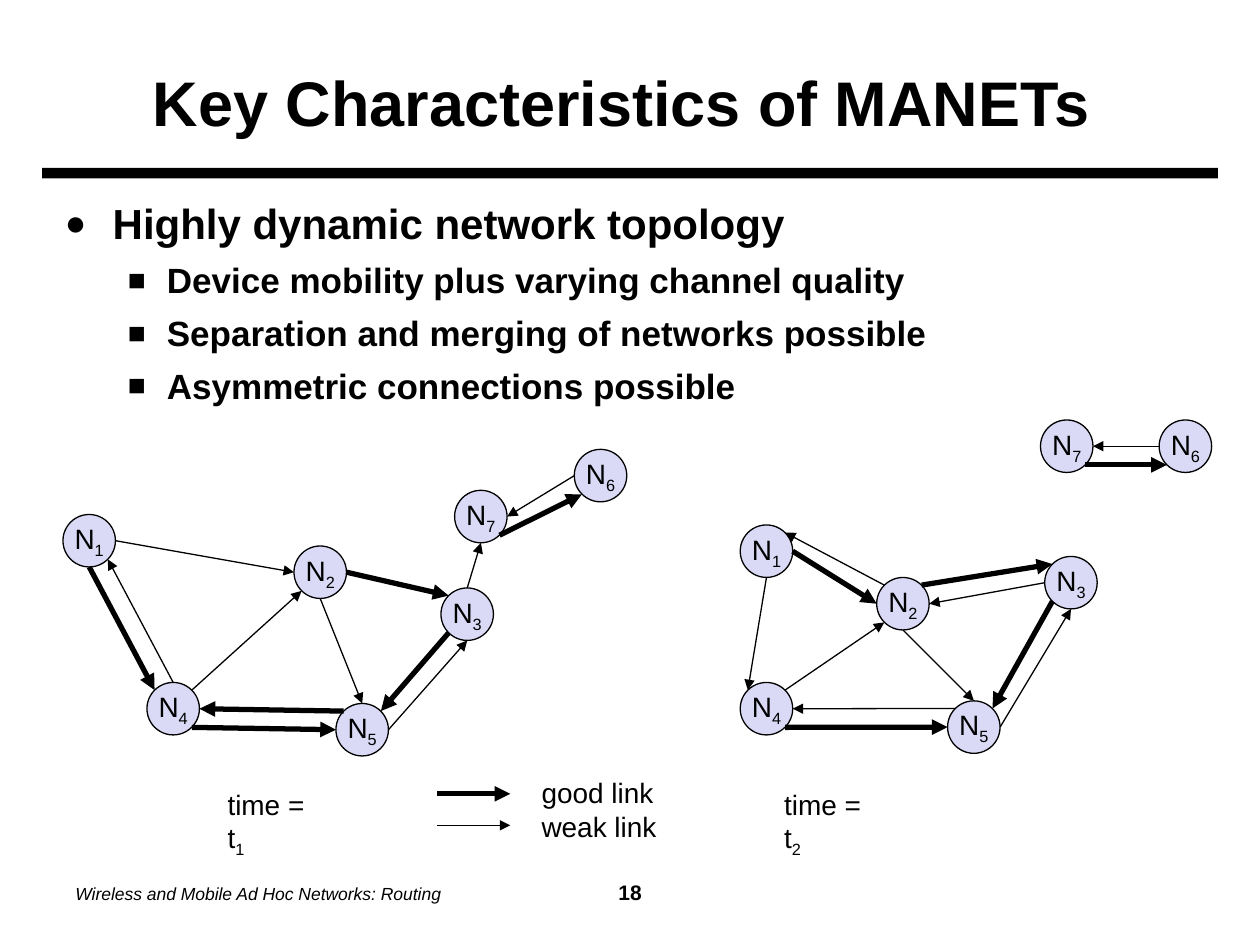
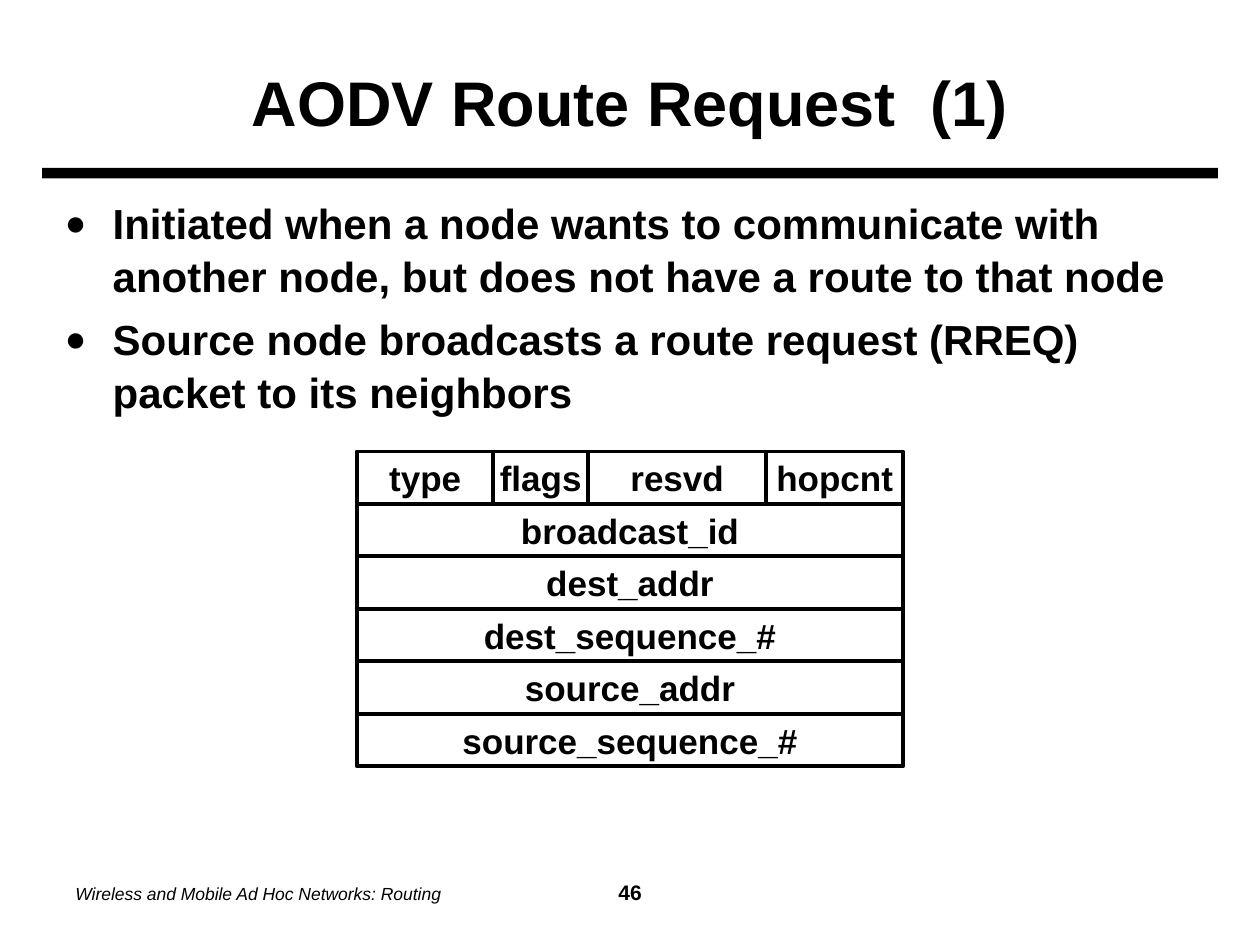
"""Build two slides on mobile ad hoc networks: topology graphs and a packet layout."""
from lxml import etree
from pptx import Presentation
from pptx import util as u
from pptx.dml.color import RGBColor
from pptx.enum import shapes, text
from pptx.oxml.ns import qn

COLORS = {"ink": "000000", "paper": "FFFFFF", "node": "DADAF6"}
FONT = "Arial"
COLUMNS, ROWS = 120, 90
WIDTH, HEIGHT = u.Inches(10), u.Inches(7.5)
FOOTER = "Wireless and Mobile Ad Hoc Networks: Routing"
NODE = 5
GOOD, WEAK = 3, 0.75
SIDES = {"N": (0, -1), "S": (0, 1), "E": (1, 0), "W": (-1, 0),
         "NE": (0.71, -0.71), "NW": (-0.71, -0.71),
         "SE": (0.71, 0.71), "SW": (-0.71, 0.71)}
BULLETS = [{"mark": "●", "size": 24, "left": 0.38, "hang": 0.38, "before": 6},
           {"mark": "■", "size": 20, "left": 0.81, "hang": 0.31, "before": 5}]

GRAPHS = [
    {"box": (6, 40), "time": "1", "caption": 14.5,
     "nodes": {1: (0, 9), 2: (22, 12), 3: (36, 16), 4: (8, 25), 5: (26, 27),
               6: (48.7, 2.8), 7: (37.3, 6.7)},
     "good": ["5NW 4E", "4SE 5W", "1S 4NW", "2E 3NW", "3SW 5NE", "7SE 6SW"],
     "weak": ["1E 2W", "4NE 2SW", "4N 1SE", "5E 3S", "2S 5N", "6W 7E", "3N 7S"]},
    {"box": (70.5, 40), "time": "2", "caption": 3,
     "nodes": {1: (0, 10), 2: (13, 15), 3: (29, 13), 4: (0, 25), 5: (19.75, 26.75),
               6: (39.9, 0), 7: (28.6, 0)},
     "good": ["1E 2W", "4SE 5W", "2NE 3NW", "3SW 5NE", "7SE 6SW"],
     "weak": ["4NE 2SW", "5NW 4E", "1S 4NW", "5E 3S", "2S 5N", "2NW 1NE",
              "3W 2E", "6W 7E"]},
]
PACKET = [
    [("type", 13), ("flags", 9), ("resvd", 17), ("hopcnt", 13)],
    [("broadcast_id", 52)],
    [("dest_addr", 52)],
    [("dest_sequence_#", 52)],
    [("source_addr", 52)],
    [("source_sequence_#", 52)],
]


def grid(column, row):
    """Return the lengths of a number of columns and rows."""
    return round(WIDTH * column / COLUMNS), round(HEIGHT * row / ROWS)


def frame(column, row, columns, rows):
    """Return left, top, width and height of a grid box."""
    return *grid(column, row), *grid(columns, rows)


def style(font, size, bold=False, italic=False):
    """Apply the common typeface and ink colour to a font."""
    font.name, font.size, font.bold, font.italic = FONT, u.Pt(size), bold, italic
    font.color.rgb = RGBColor.from_string(COLORS["ink"])


def add_label(paragraph, label, subscript="", size=16, bold=False):
    """Write a label with an optional subscript."""
    paragraph.text = label
    if subscript:
        run = paragraph.add_run()
        run.text = subscript
        run._r.get_or_add_rPr().set("baseline", "-25000")
    for run in paragraph.runs:
        style(run.font, size, bold)


def add_text_box(slide, box, wrap=False):
    """Add a text box and return its text frame."""
    text_frame = slide.shapes.add_textbox(*frame(*box)).text_frame
    text_frame.word_wrap = wrap
    return text_frame


def add_block(slide, kind, box, fill, line):
    """Add a flat outlined shape and return its centred paragraph."""
    shape = slide.shapes.add_shape(kind, *frame(*box))
    shape.shadow.inherit = False
    shape.fill.solid()
    shape.fill.fore_color.rgb = RGBColor.from_string(COLORS[fill])
    if line:
        shape.line.color.rgb = RGBColor.from_string(COLORS["ink"])
        shape.line.width = u.Pt(line)
    else:
        shape.line.fill.background()
    shape.text_frame.word_wrap = False
    shape.text_frame.vertical_anchor = text.MSO_ANCHOR.MIDDLE
    paragraph = shape.text_frame.paragraphs[0]
    paragraph.alignment = text.PP_ALIGN.CENTER
    return paragraph


def add_arrow(slide, start, end, weight):
    """Draw an arrow between two grid points."""
    arrow = slide.shapes.add_connector(
        shapes.MSO_CONNECTOR.STRAIGHT, *grid(*start), *grid(*end))
    arrow.line.color.rgb = RGBColor.from_string(COLORS["ink"])
    arrow.line.width = u.Pt(weight)
    properties = arrow._element.spPr
    etree.SubElement(properties.find(qn("a:ln")), qn("a:tailEnd"), type="triangle")
    etree.SubElement(properties, qn("a:effectLst"))


def add_footer(slide, number, box):
    """Write the running title and the page number at a centred tab."""
    text_frame = add_text_box(slide, box, wrap=True)
    text_frame.vertical_anchor = text.MSO_ANCHOR.MIDDLE
    paragraph = text_frame.paragraphs[0]
    tabs = etree.SubElement(paragraph._p.get_or_add_pPr(), qn("a:tabLst"))
    etree.SubElement(tabs, qn("a:tab"), pos=str(u.Inches(4.38)), algn="ctr")
    paragraph.text = FOOTER
    style(paragraph.runs[0].font, 10, italic=True)
    page = paragraph.add_run()
    page.text = f"\t {number}"
    style(page.font, 12, bold=True)


def add_bullets(slide, items, box):
    """Write bulleted paragraphs given as level and wording."""
    text_frame = add_text_box(slide, box, wrap=True)
    text_frame.text = "\n".join(wording for _, wording in items)
    for index, (level, _) in enumerate(items):
        paragraph, rule = text_frame.paragraphs[index], BULLETS[level]
        paragraph.level = level
        paragraph.line_spacing = 1.05
        if index:
            paragraph.space_before = u.Pt(rule["before"])
        properties = paragraph._p.get_or_add_pPr()
        properties.set("marL", str(u.Inches(rule["left"])))
        properties.set("indent", str(-u.Inches(rule["hang"])))
        etree.SubElement(properties, qn("a:buSzPct"), val="85000")
        etree.SubElement(properties, qn("a:buFont"), typeface=FONT)
        etree.SubElement(properties, qn("a:buChar"), char=rule["mark"])
        style(paragraph.runs[0].font, rule["size"], bold=True)


def add_base(presentation, title, number, bullets):
    """Add a slide with title, rule, bullets and footer."""
    slide = presentation.slides.add_slide(presentation.slide_layouts[5])
    heading = slide.shapes.title
    heading.left, heading.top, heading.width, heading.height = frame(6, 3, 108, 13)
    heading.text_frame.text = title
    heading.text_frame.vertical_anchor = text.MSO_ANCHOR.MIDDLE
    paragraph = heading.text_frame.paragraphs[0]
    paragraph.alignment = text.PP_ALIGN.CENTER
    paragraph.line_spacing = 1.05
    style(paragraph.runs[0].font, 36, bold=True)
    add_block(slide, shapes.MSO_SHAPE.RECTANGLE, (4, 16, 112, 1), "ink", None)
    add_bullets(slide, bullets, (5, 18, 109, 63))
    add_footer(slide, number, (6, 82, 108, 6))
    return slide


def add_graph(slide, graph):
    """Draw one network snapshot with its nodes, links and time."""
    left, top = graph["box"]
    nodes = {name: (left + x, top + y) for name, (x, y) in graph["nodes"].items()}

    def anchor(end):
        """Return the point on the rim of a node, such as 5NW."""
        x, y = nodes[int(end[0])]
        across, down = SIDES[end[1:]]
        return x + NODE / 2 * (1 + across), y + NODE / 2 * (1 + down)

    for name, place in nodes.items():
        paragraph = add_block(
            slide, shapes.MSO_SHAPE.OVAL, (*place, NODE, NODE), "node", WEAK)
        add_label(paragraph, "N", str(name))
    for links, weight in ((graph["good"], GOOD), (graph["weak"], WEAK)):
        for link in links:
            start, end = link.split()
            add_arrow(slide, anchor(start), anchor(end), weight)
    caption = add_text_box(slide, (left + graph["caption"], top + 34.4, 12, 4.9))
    add_label(caption.paragraphs[0], "time = t", graph["time"])


def add_legend(slide, left, top):
    """Explain the two link weights."""
    for row, weight in ((2.3, GOOD), (5.3, WEAK)):
        add_arrow(slide, (left, top + row), (left + 7, top + row), weight)
    text_frame = add_text_box(slide, (left + 8.8, top, 13.3, 7.7))
    text_frame.text = "good link\nweak link"
    for paragraph in text_frame.paragraphs:
        style(paragraph.runs[0].font, 16)


def add_packet(slide, left, top):
    """Stack the packet fields row by row."""
    for row, fields in enumerate(PACKET):
        column = left
        for name, width in fields:
            paragraph = add_block(slide, shapes.MSO_SHAPE.RECTANGLE,
                                  (column, top + row * 5, width, 5), "paper", 2.25)
            add_label(paragraph, name, size=20, bold=True)
            column += width


def main():
    """Build and save the presentation."""
    presentation = Presentation()
    presentation.slide_width, presentation.slide_height = WIDTH, HEIGHT

    slide = add_base(presentation, "Key Characteristics of MANETs ", 18, [
        (0, "Highly dynamic network topology"),
        (1, "Device mobility plus varying channel quality"),
        (1, "Separation and merging of networks possible"),
        (1, "Asymmetric connections possible")])
    for graph in GRAPHS:
        add_graph(slide, graph)
    add_legend(slide, 41.6, 73.3)

    slide = add_base(presentation, "AODV Route Request  (1)", 46, [
        (0, "Initiated when a node wants to communicate with another node, "
            "but does not have a route to that node"),
        (0, "Source node broadcasts a route request (RREQ) packet to its neighbors")])
    add_packet(slide, 34, 43)
    presentation.save("out.pptx")


if __name__ == "__main__":
    main()
